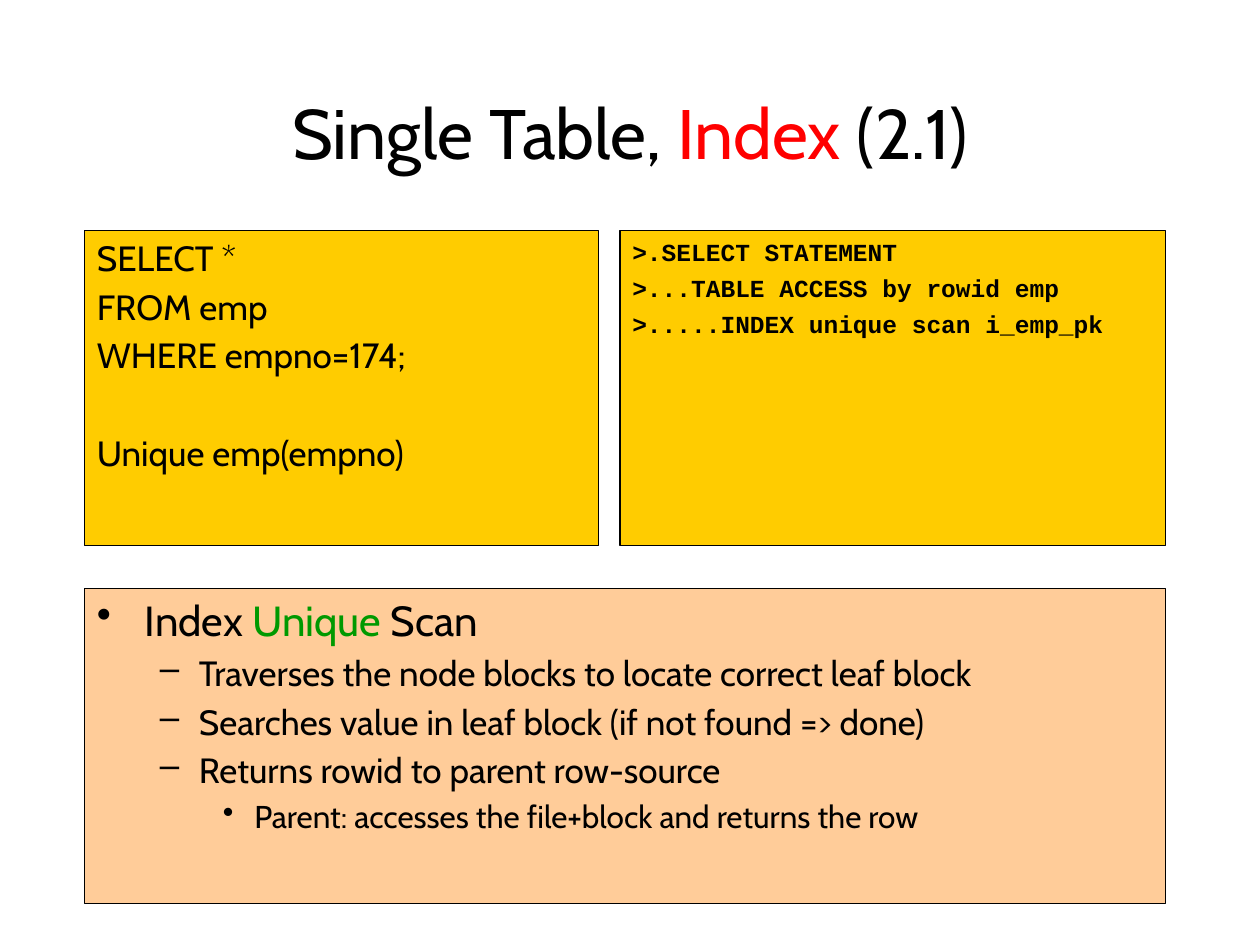
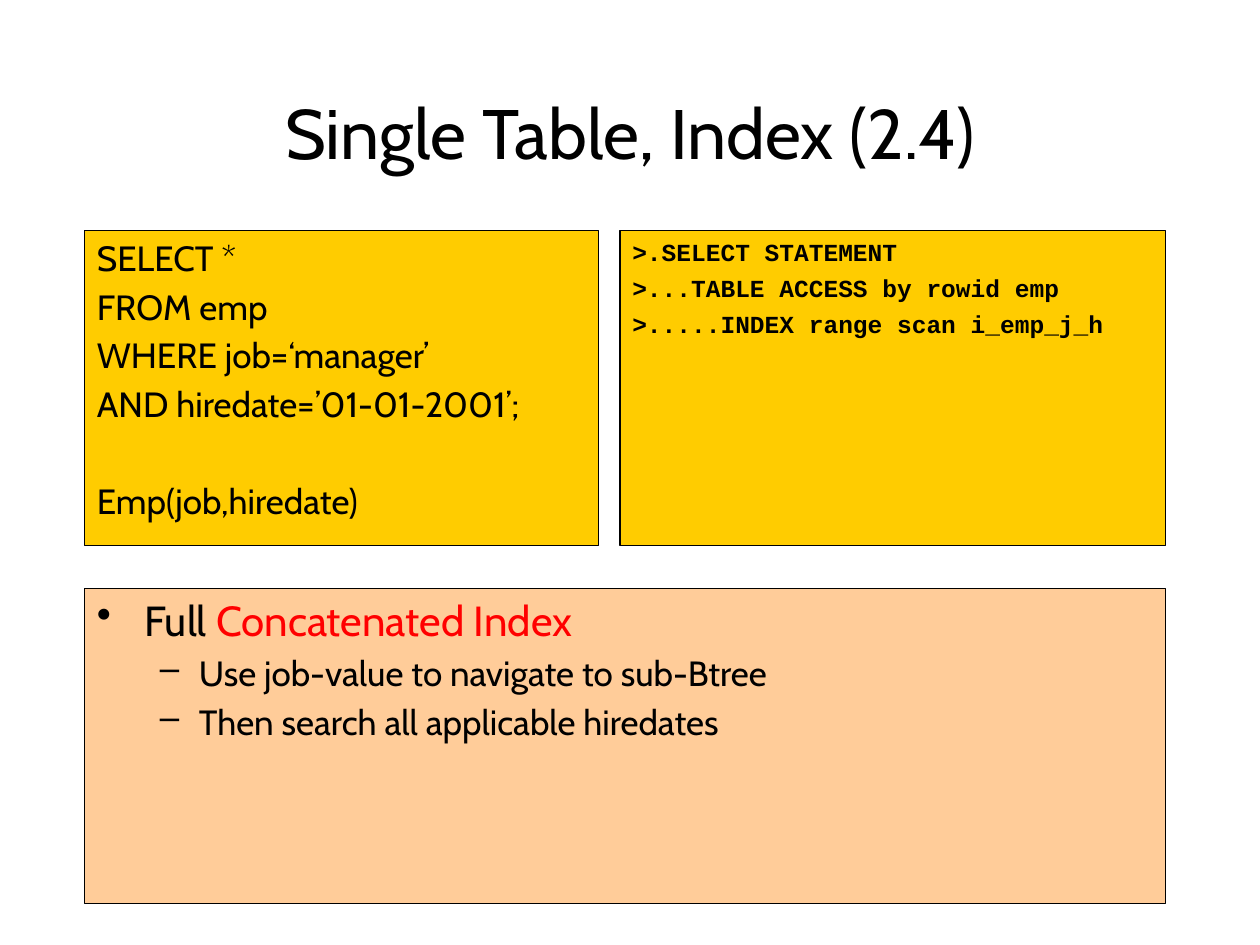
from dataclasses import dataclass

from lxml.etree import SubElement as Sub
from pptx import Presentation
from pptx.dml.color import RGBColor
from pptx.enum.shapes import MSO_SHAPE as Kind
from pptx.enum.text import MSO_ANCHOR as Anchor, PP_ALIGN as Align
from pptx.oxml.ns import qn
from pptx.shapes.autoshape import Shape
from pptx.slide import Slide
from pptx.text.text import TextFrame
from pptx.util import Inches, Pt

BLACK, RED, GREEN = "000000", "FF0000", "009900"
GOLD, PEACH = "FFCC00", "FFCC99"
SANS, MONO = "Cabin", "Courier New"
GAP = 3.7
BLANK = 28


@dataclass(frozen=True)
class Box:
    left: float
    top: float
    width: float
    height: float


@dataclass(frozen=True)
class Level:
    size: int
    mark: str
    left: float
    hang: float


@dataclass(frozen=True)
class Run:
    text: str
    color: str = BLACK


@dataclass(frozen=True)
class Point:
    level: int
    runs: list[Run]


@dataclass(frozen=True)
class Page:
    title: list[Run]
    query: list[str]
    index: str
    plan: list[str]
    points: list[Point]


TITLE = Box(0.75, 0.67, 8.5, 0.75)
QUERY = Box(0.67, 1.83, 4.08, 2.5)
PLAN = Box(4.92, 1.83, 4.33, 2.5)
NOTES = Box(0.67, 4.67, 8.58, 2.5)

LEVELS = [
    Level(24, "•", 0.38, 0.38),
    Level(20, "–", 0.81, 0.31),
    Level(18, "•", 1.25, 0.25),
]

STEPS = [">.SELECT STATEMENT", ">...TABLE ACCESS by rowid emp"]

PAGES = [
    Page(
        [Run("Single Table, "), Run("Index", RED), Run(" (2.1)")],
        ["SELECT *", "FROM emp", "WHERE empno=174;"],
        "Unique emp(empno)",
        STEPS + [">.....INDEX unique scan i_emp_pk"],
        [
            Point(0, [Run("Index "), Run("Unique", GREEN), Run(" Scan")]),
            Point(1, [Run("Traverses the node blocks to locate correct leaf block")]),
            Point(1, [Run("Searches value in leaf block (if not found => done)")]),
            Point(1, [Run("Returns rowid to parent row-source")]),
            Point(2, [Run("Parent: accesses the file+block and returns the row")]),
        ],
    ),
    Page(
        [Run("Single Table, Index (2.4)")],
        ["SELECT *", "FROM emp", "WHERE job=‘manager’", "AND hiredate=’01-01-2001’;"],
        "Emp(job,hiredate)",
        STEPS + [">.....INDEX range scan i_emp_j_h"],
        [
            Point(0, [Run("Full "), Run("Concatenated Index", RED)]),
            Point(1, [Run("Use job-value to navigate to sub-Btree")]),
            Point(1, [Run("Then search all applicable hiredates")]),
        ],
    ),
]


def paint(code: str) -> RGBColor:
    return RGBColor.from_string(code)


def place(box: Box) -> list[Inches]:
    return [Inches(n) for n in (box.left, box.top, box.width, box.height)]


def write(frame: TextFrame, runs: list[Run], *, size: int, font: str = SANS,
          bold: bool = False, align: Align = Align.LEFT, gap: float = GAP,
          level: Level | None = None) -> None:
    first = not frame.text
    para = frame.paragraphs[0] if first else frame.add_paragraph()
    para.alignment = align
    para.space_before = Pt(0 if first else gap)
    if level:
        props = para._p.get_or_add_pPr()
        props.set("marL", str(Inches(level.left)))
        props.set("indent", str(-Inches(level.hang)))
        Sub(props, qn("a:buChar"), char=level.mark)
    for part in runs:
        run = para.add_run()
        run.text = part.text
        run.font.size = Pt(size)
        run.font.name = font
        run.font.bold = bold
        run.font.color.rgb = paint(part.color)


def panel(slide: Slide, box: Box, fill: str) -> TextFrame:
    shape: Shape = slide.shapes.add_shape(Kind.RECTANGLE, *place(box))
    shape.shadow.inherit = False
    shape.fill.solid()
    shape.fill.fore_color.rgb = paint(fill)
    shape.line.color.rgb = paint(BLACK)
    shape.line.width = Pt(0.75)
    frame = shape.text_frame
    frame.word_wrap = True
    frame.vertical_anchor = Anchor.TOP
    return frame


def draw(slide: Slide, page: Page) -> None:
    head = slide.shapes.add_textbox(*place(TITLE)).text_frame
    head.word_wrap = True
    head.vertical_anchor = Anchor.MIDDLE
    write(head, page.title, size=40, align=Align.CENTER)

    notes = panel(slide, NOTES, PEACH)
    for point in page.points:
        level = LEVELS[point.level]
        write(notes, point.runs, size=level.size, level=level)

    plan = panel(slide, PLAN, GOLD)
    for line in page.plan:
        write(plan, [Run(line)], size=14, font=MONO, bold=True)

    query = panel(slide, QUERY, GOLD)
    for line in page.query:
        write(query, [Run(line)], size=20)
    write(query, [Run(page.index)], size=20, gap=GAP + BLANK)


def main() -> None:
    deck = Presentation()
    deck.slide_width, deck.slide_height = Inches(10), Inches(7.5)
    for page in PAGES:
        draw(deck.slides.add_slide(deck.slide_layouts[6]), page)
    deck.save("out.pptx")


if __name__ == "__main__":
    main()
